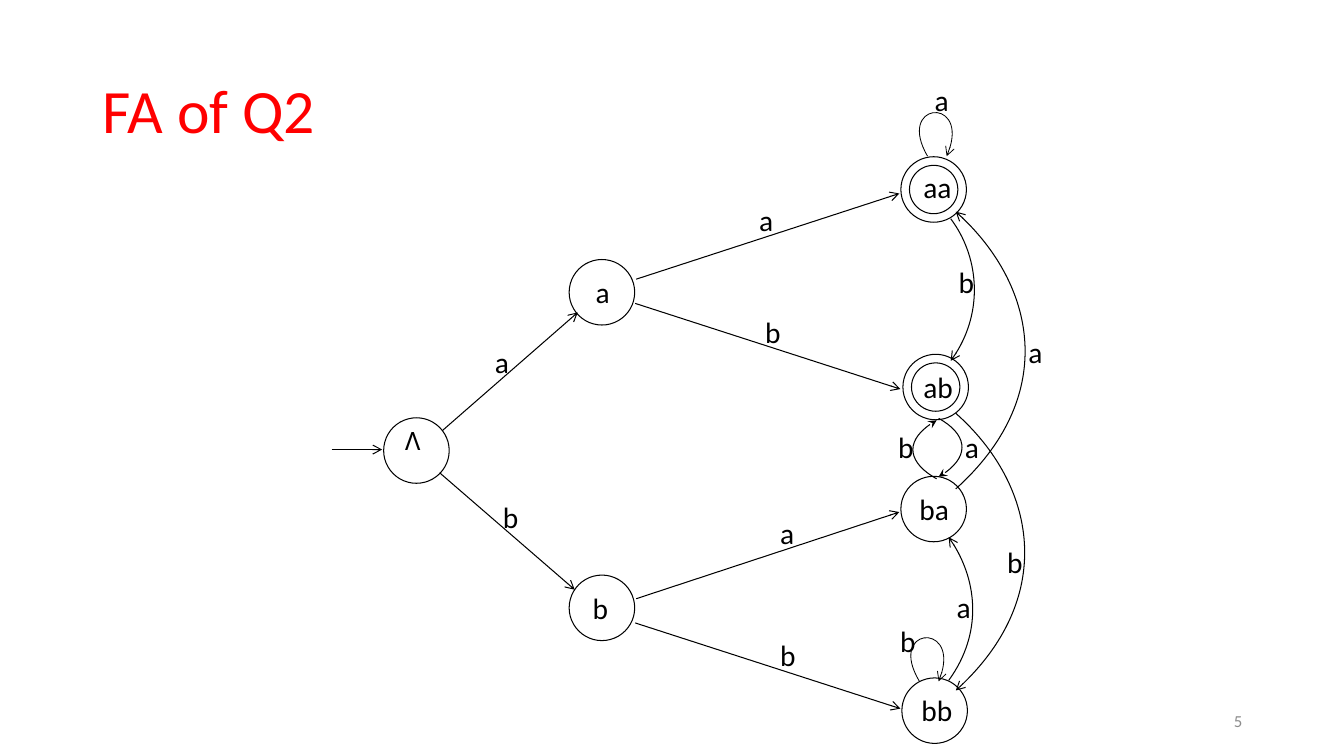
from typing import NamedTuple

from lxml import etree
from pptx import Presentation
from pptx import util as u
from pptx.dml.color import RGBColor
from pptx.enum import shapes, text
from pptx.oxml.ns import qn

BLACK, WHITE, RED, GREY = "000000", "FFFFFF", "FF0000", "8C8C8C"
OUTER, INNER = 0.65, 0.48  # state diameters
Point = tuple[float, float]


class State(NamedTuple):
    name: str
    center: Point
    label_at: Point
    final: bool = False
    font: str = "Calibri"
    size: float = 21


class Edge(NamedTuple):
    start: Point
    end: Point


class Curve(NamedTuple):
    points: tuple[Point, Point, Point, Point]  # start, two controls, end
    head: str = "arrow"
    width: float = 0.75


class Label(NamedTuple):
    letter: str
    at: Point


STATES = [
    State("Λ", (4.13, 4.47), (3.92, 4.17), font="Noto Sans", size=18),
    State("a", (5.97, 2.9), (5.81, 2.67)),
    State("b", (5.97, 6.03), (5.78, 5.8)),
    State("aa", (9.26, 1.88), (9.06, 1.63), final=True),
    State("ab", (9.28, 3.84), (9.06, 3.61), final=True),
    State("ba", (9.26, 5.05), (9.02, 4.82)),
    State("bb", (9.27, 7.05), (9.04, 6.82)),
]
EDGES = [
    Edge((3.29, 4.46), (3.79, 4.46)),  # start arrow
    Edge((4.39, 4.27), (5.73, 3.1)),
    Edge((4.36, 4.69), (5.7, 5.85)),
    Edge((6.31, 2.77), (8.92, 1.92)),
    Edge((6.3, 3.01), (8.93, 3.86)),
    Edge((6.31, 5.94), (8.92, 5.08)),
    Edge((6.3, 6.18), (8.93, 7.03)),
]
CURVES = [
    Curve(((9.43, 2.17), (9.7, 2.53), (9.77, 3.12), (9.43, 3.58))),  # aa to ab
    Curve(((9.41, 6.75), (9.75, 6.28), (9.68, 5.7), (9.41, 5.33))),  # bb to ba
    Curve(((9.48, 4.1), (10.28, 4.81), (10.48, 5.95), (9.48, 6.85))),  # ab to bb
    Curve(((9.48, 4.85), (10.48, 3.95), (10.28, 2.81), (9.48, 2.1))),  # ba to aa
    Curve(((9.31, 4.15), (9.58, 4.3), (9.64, 4.54), (9.31, 4.73)), "stealth"),
    Curve(((9.29, 4.75), (9.02, 4.6), (8.95, 4.36), (9.29, 4.17)), "stealth"),
    Curve(((9.2, 1.55), (8.89, 1.02), (9.65, 0.95), (9.39, 1.55)), width=0.6),
    Curve(((9.12, 6.76), (8.8, 6.23), (9.56, 6.16), (9.31, 6.76)), width=0.6),
]
LABELS = [
    Label("a", (4.81, 3.36)), Label("b", (4.89, 4.9)),
    Label("a", (7.43, 1.96)), Label("b", (7.49, 3.07)),
    Label("a", (7.64, 5.06)), Label("b", (7.64, 6.27)),
    Label("a", (9.17, 0.77)), Label("b", (8.83, 6.13)),
    Label("b", (9.41, 2.57)), Label("a", (9.39, 5.79)),
    Label("a", (10.1, 3.27)), Label("b", (9.89, 5.35)),
    Label("a", (9.47, 4.21)), Label("b", (8.81, 4.21)),
]


def rgb(color: str) -> RGBColor:
    return RGBColor.from_string(color)


def emu(point: Point) -> tuple[int, int]:
    return u.Inches(point[0]), u.Inches(point[1])


def add_run(p, words: str, size: float, color: str = BLACK, font: str = "Calibri") -> None:
    r = p.add_run()
    r.text = words
    r.font.size, r.font.name = u.Pt(size), font
    r.font.color.rgb = rgb(color)


def add_text(at: Point, words: str, size: float = 21, font: str = "Calibri") -> None:
    tb = slide.shapes.add_textbox(*emu(at), u.Inches(0.98), u.Inches(0.68))
    tb.text_frame.word_wrap = True
    add_run(tb.text_frame.paragraphs[0], words, size, font=font)


def style_line(sp, width: float = 0.75, head: str = "") -> None:
    sp.line.color.rgb = rgb(BLACK)
    sp.line.width = u.Pt(width)
    if head:
        etree.SubElement(sp.line._get_or_add_ln(), qn("a:tailEnd"), type=head)


def add_circle(center: Point, diameter: float) -> None:
    corner = (center[0] - diameter / 2, center[1] - diameter / 2)
    side = u.Inches(diameter)
    sp = slide.shapes.add_shape(shapes.MSO_SHAPE.OVAL, *emu(corner), side, side)
    sp.shadow.inherit = False
    sp.fill.solid()
    sp.fill.fore_color.rgb = rgb(WHITE)
    style_line(sp)


def add_edge(edge: Edge) -> None:
    line = slide.shapes.add_connector(
        shapes.MSO_CONNECTOR.STRAIGHT, *emu(edge.start), *emu(edge.end))
    style_line(line, head="arrow")
    etree.SubElement(line._element.spPr, qn("a:effectLst"))


def add_curve(curve: Curve) -> None:
    start, *rest = map(emu, curve.points)
    builder = slide.shapes.build_freeform(*start)
    builder.add_line_segments(rest, close=False)
    sp = builder.convert_to_shape()
    sp.shadow.inherit = False
    sp.fill.background()
    style_line(sp, curve.width, curve.head)
    # Turn the three segments into one cubic Bezier
    outline = next(sp._element.iter(qn("a:path")))
    bezier = etree.SubElement(outline, qn("a:cubicBezTo"))
    for segment in outline.findall(qn("a:lnTo")):
        bezier.append(segment[0])
        outline.remove(segment)


prs = Presentation()
prs.slide_width, prs.slide_height = u.Inches(13.33), u.Inches(7.5)
slide = prs.slides.add_slide(prs.slide_layouts[5])

# Title
title = slide.shapes.title
title.left, title.top = emu((0.92, 0.4))
title.width, title.height = emu((11.5, 1.45))
tf = title.text_frame
tf.vertical_anchor = text.MSO_ANCHOR.MIDDLE
p = tf.paragraphs[0]
p.alignment, p.line_spacing = text.PP_ALIGN.LEFT, 0.9
add_run(p, "FA of Q2", 44, RED)

# States; final ones have a double ring
for state in STATES:
    add_circle(state.center, OUTER)
    if state.final:
        add_circle(state.center, INNER)

# Transitions
for edge in EDGES:
    add_edge(edge)
for curve in CURVES:
    add_curve(curve)

# State names and transition letters
for state in STATES:
    add_text(state.label_at, state.name, state.size, state.font)
for label in LABELS:
    add_text(label.at, label.letter)

# Slide number
number = slide.shapes.add_textbox(*emu((9.42, 6.95)), *emu((3, 0.4)))
tf = number.text_frame
tf.word_wrap = True
tf.vertical_anchor = text.MSO_ANCHOR.MIDDLE
p = tf.paragraphs[0]
p.alignment = text.PP_ALIGN.RIGHT
add_run(p, "5", 12, GREY)

prs.save("out.pptx")
